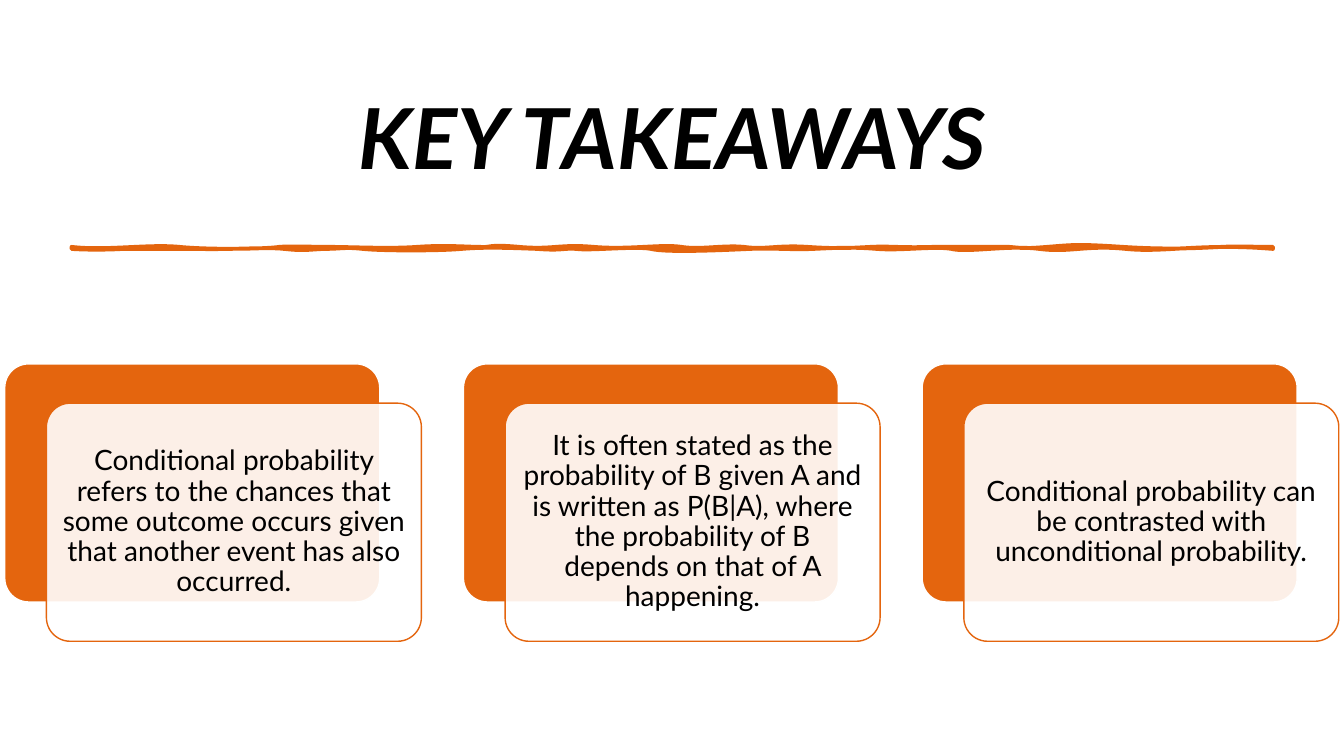
from lxml import etree
from pptx import Presentation
from pptx.dml.color import RGBColor
from pptx.enum.shapes import MSO_SHAPE
from pptx.enum.text import MSO_ANCHOR, PP_ALIGN
from pptx.oxml.ns import qn
from pptx.util import Cm, Pt

RECTANGLE, ROUNDED = MSO_SHAPE.RECTANGLE, MSO_SHAPE.ROUNDED_RECTANGLE
CENTER = PP_ALIGN.CENTER
MIDDLE = MSO_ANCHOR.MIDDLE
ORANGE, WHITE, BLACK = "E4650E", "FFFFFF", "000000"
FONT = "Lato"

# Content
TITLE = "KEY TAKEAWAYS"
TAKEAWAYS = [
    "Conditional probability refers to the chances that some outcome occurs "
    "given that another event has also occurred.",
    "It is often stated as the probability of B given A and is written as "
    "P(B|A), where the probability of B depends on that of A happening.",
    "Conditional probability can be contrasted with unconditional probability.",
]

# Hand-drawn rule: Bezier segments (control x, y, control x, y, end x), in units
# of RULE_UNIT; each segment ends on the level of its edge
RULE_UNIT = Cm(2.54) / 100
RULE_LEFT, LOWER_LEVEL, UPPER_LEVEL = 71, 247, 245
LOWER_EDGE = [
    (84, 248, 107, 248, 122), (136, 247, 166, 247, 196),
    (226, 248, 264, 245, 282), (301, 249, 303, 248, 321),
    (340, 247, 341, 245, 360), (379, 249, 436, 249, 458),
    (481, 245, 507, 246, 533), (558, 249, 559, 246, 572),
    (584, 249, 631, 244, 646), (661, 251, 722, 248, 744),
    (767, 246, 786, 248, 807), (828, 246, 846, 245, 870),
    (893, 249, 928, 244, 944), (960, 251, 1000, 243, 1031),
    (1061, 251, 1078, 243, 1117), (1156, 251, 1190, 241, 1263),
]
RIGHT_END = [(1263, 247, 1263, 246, 1263)]
UPPER_EDGE = [
    (1238, 245, 1231, 244, 1212), (1193, 246, 1160, 248, 1114),
    (1068, 242, 1065, 243, 1039), (1014, 247, 1015, 246, 1001),
    (986, 245, 960, 245, 926), (892, 246, 884, 244, 864),
    (844, 246, 831, 247, 801), (771, 243, 759, 248, 738),
    (718, 243, 695, 248, 676), (657, 242, 624, 248, 589),
    (555, 242, 548, 248, 515), (482, 242, 488, 246, 476),
    (464, 245, 441, 243, 414), (386, 247, 347, 245, 327),
    (308, 245, 288, 244, 277), (265, 247, 209, 248, 178),
    (147, 242, 105, 249, 71),
]

# Layout in centimetres
SLIDE_WIDTH, SLIDE_HEIGHT = 33.87, 19.05
CARD_LEFT, CARD_TOP, CARD_PITCH = 0.12, 9.17, 11.56
CARD_WIDTH, CARD_HEIGHT = 9.45, 6
PANEL_SHIFT_X, PANEL_SHIFT_Y = 1.05, 0.99
TEXT_INSET = 0.18


def color(value):
    return RGBColor.from_string(value)


def add_text(text, left, top, width, height, size, margin,
             bold=False, italic=False, space_after=0):
    box = slide.shapes.add_textbox(Cm(left), Cm(top), Cm(width), Cm(height))
    frame = box.text_frame
    frame.word_wrap = True
    frame.vertical_anchor = MIDDLE
    frame.margin_left = frame.margin_right = Cm(margin)
    frame.margin_top = frame.margin_bottom = Cm(margin)
    paragraph = frame.paragraphs[0]
    paragraph.alignment = CENTER
    paragraph.line_spacing = 0.9
    paragraph.space_after = Pt(space_after)
    run = paragraph.add_run()
    run.text = text
    font = run.font
    font.name, font.size = FONT, Pt(size)
    font.bold, font.italic = bold, italic
    font.color.rgb = color(BLACK)


def paint(shape, fill, line=None, line_width=1, opacity=100):
    shape.shadow.inherit = False
    shape.fill.solid()
    shape.fill.fore_color.rgb = color(fill)
    if line:
        shape.line.color.rgb = color(line)
        shape.line.width = Pt(line_width)
    else:
        shape.line.fill.background()
    if opacity < 100:
        fill_color = shape._element.spPr.find(qn("a:solidFill"))[0]
        alpha = etree.SubElement(fill_color, qn("a:alpha"))
        alpha.set("val", str(opacity * 1000))


def add_rounded(left, top):
    shape = slide.shapes.add_shape(
        ROUNDED, Cm(left), Cm(top), Cm(CARD_WIDTH), Cm(CARD_HEIGHT))
    shape.adjustments[0] = 0.1
    return shape


def curve_points(level, segments):
    for x1, y1, x2, y2, end_x in segments:
        yield from ((x1, y1), (x2, y2), (end_x, level))


def bend_lines(shape):
    """Turn each three straight segments of a freeform into one Bezier curve."""
    lines = list(shape._element.iter(qn("a:lnTo")))
    for start in range(0, len(lines), 3):
        curve = etree.Element(qn("a:cubicBezTo"))
        lines[start].addprevious(curve)
        for line in lines[start:start + 3]:
            curve.append(line[0])
            line.getparent().remove(line)


presentation = Presentation()
presentation.slide_width = Cm(SLIDE_WIDTH)
presentation.slide_height = Cm(SLIDE_HEIGHT)
slide = presentation.slides.add_slide(presentation.slide_layouts[6])

# Background
background = slide.shapes.add_shape(
    RECTANGLE, 0, 0, presentation.slide_width, presentation.slide_height)
paint(background, WHITE)

# Title
add_text(TITLE, 1.77, 1.75, 30.33, 3.66, size=60, margin=0.13,
         bold=True, italic=True)

# Rule under the title
outline = [(RULE_LEFT, LOWER_LEVEL),
           *curve_points(LOWER_LEVEL, LOWER_EDGE),
           *curve_points(UPPER_LEVEL, RIGHT_END + UPPER_EDGE)]
outline = [(round(x * RULE_UNIT), round(y * RULE_UNIT)) for x, y in outline]
builder = slide.shapes.build_freeform(*outline[0])
builder.add_line_segments(outline[1:], close=True)
rule = builder.convert_to_shape()
bend_lines(rule)
paint(rule, ORANGE, ORANGE, 2.75)

# Cards: an orange back, a translucent panel in front and its text
for index, takeaway in enumerate(TAKEAWAYS):
    left = CARD_LEFT + index * CARD_PITCH
    paint(add_rounded(left, CARD_TOP), ORANGE, WHITE)
    panel_left, panel_top = left + PANEL_SHIFT_X, CARD_TOP + PANEL_SHIFT_Y
    paint(add_rounded(panel_left, panel_top), WHITE, ORANGE, opacity=90)
    add_text(takeaway, panel_left + TEXT_INSET, panel_top + TEXT_INSET,
             CARD_WIDTH - 2 * TEXT_INSET, CARD_HEIGHT - 2 * TEXT_INSET,
             size=20, margin=0.2, space_after=7)

presentation.save("out.pptx")
